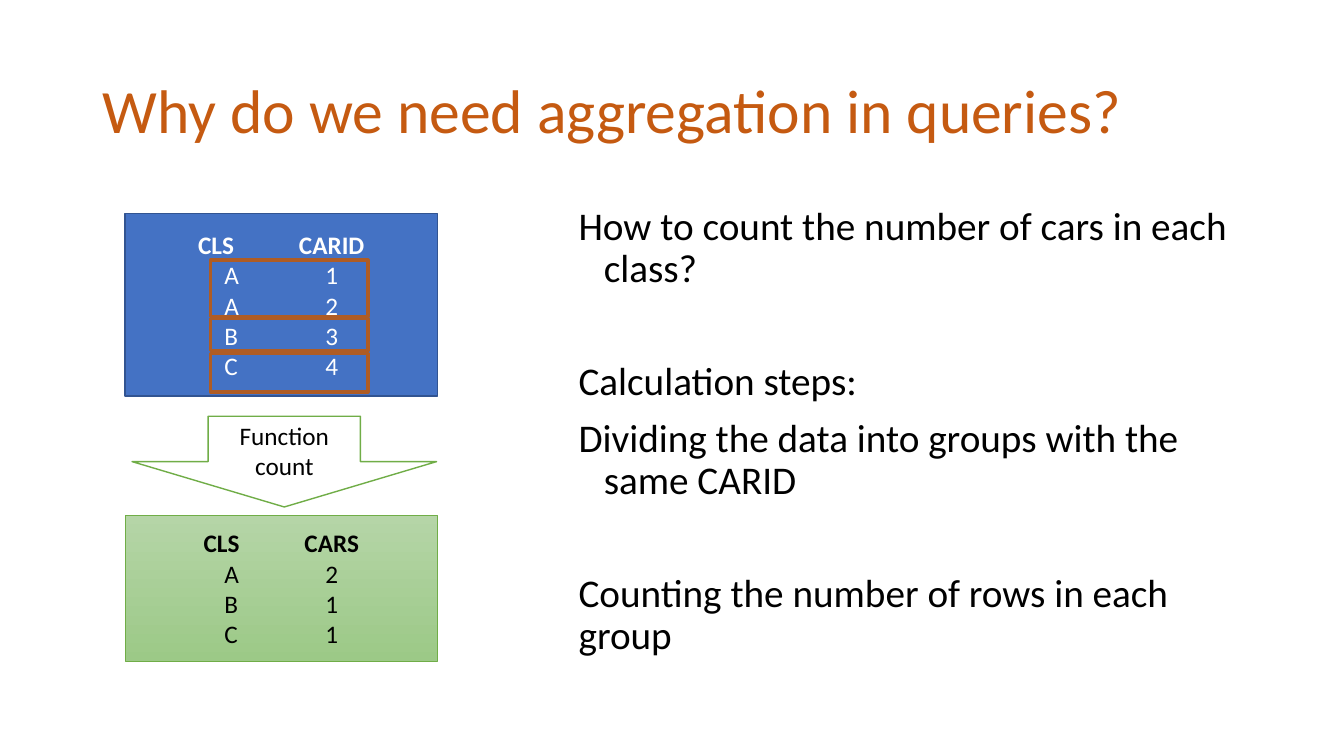
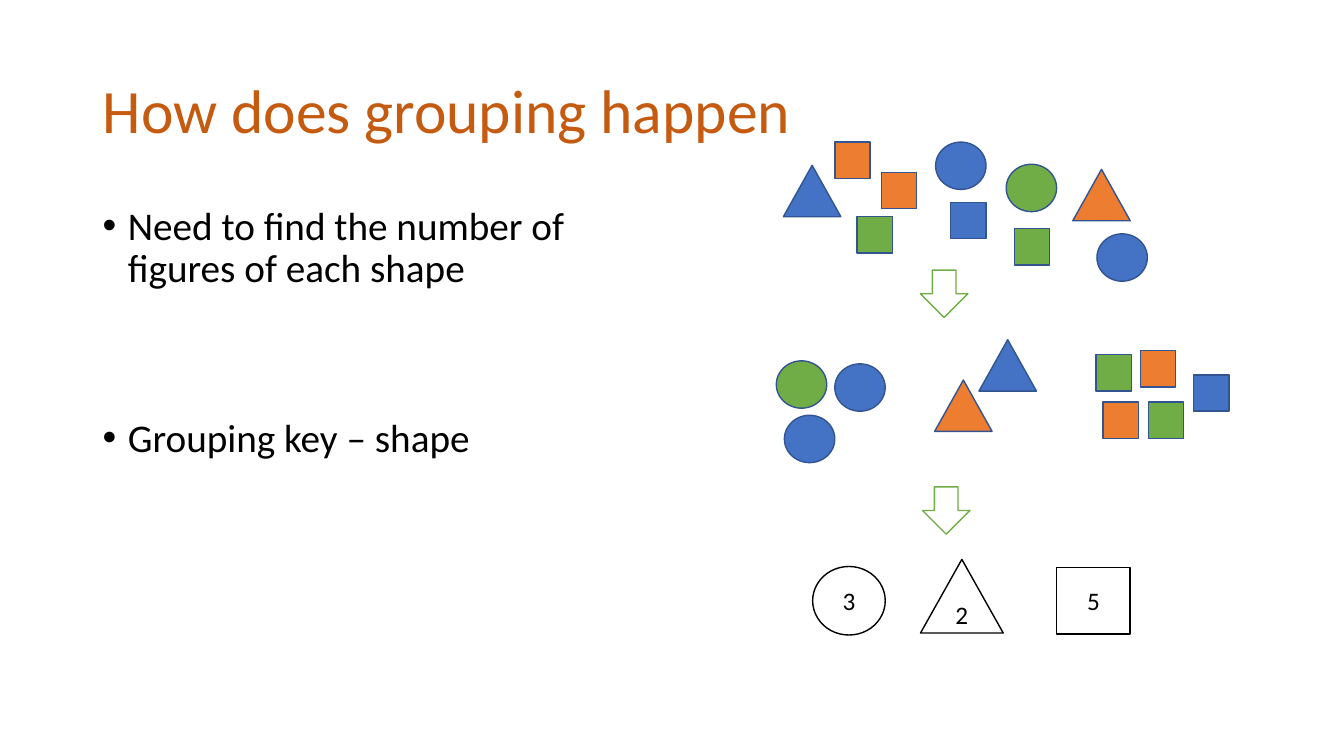
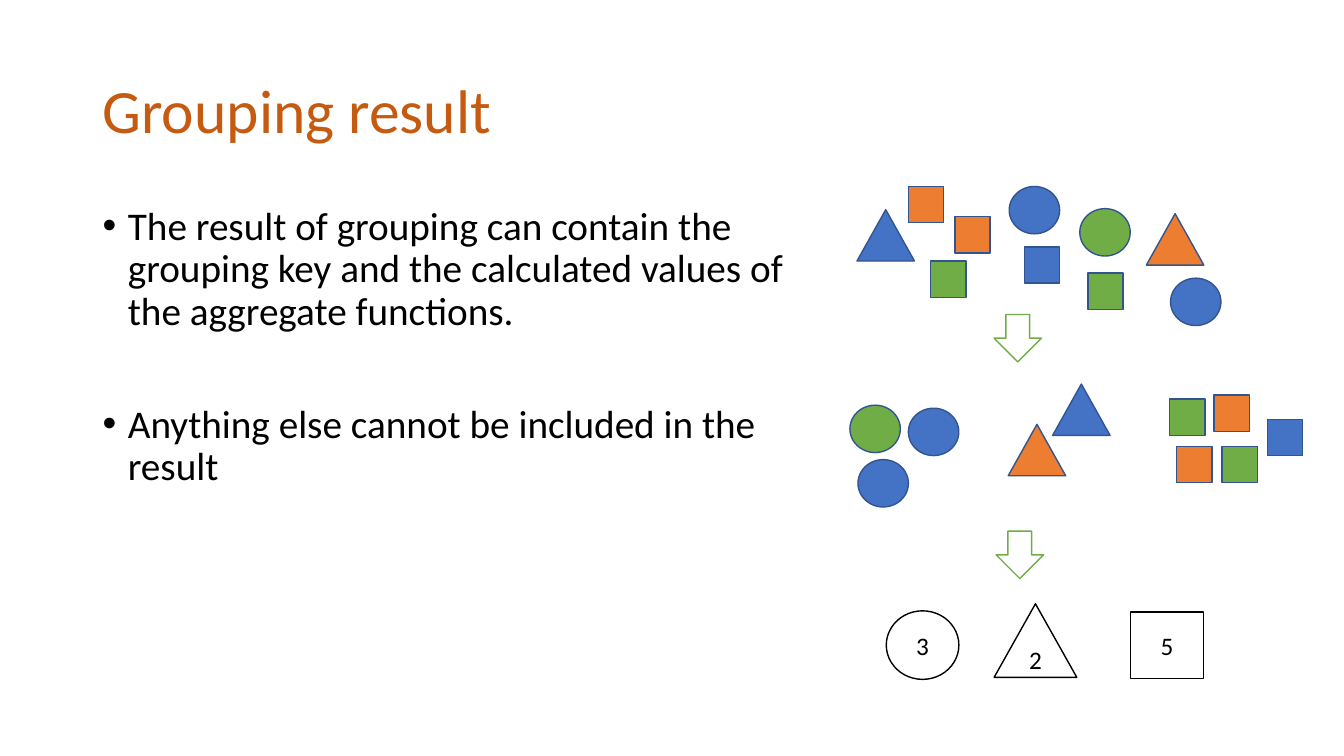
from dataclasses import dataclass

from lxml import etree
from pptx import Presentation
from pptx import util as u
from pptx.dml.color import RGBColor
from pptx.enum import shapes, text
from pptx.oxml.ns import qn


@dataclass(frozen=True)
class Theme:
    font: str = "Calibri"
    title: str = "C55A11"
    ink: str = "000000"
    paper: str = "FFFFFF"
    blue: str = "4472C4"
    orange: str = "ED7D31"
    green: str = "70AD47"
    outline: str = "325491"
    group: str = "AF5C24"
    pale_top: str = "B5D5A7"
    pale_bottom: str = "9CC987"
    title_size: float = 44
    body_size: float = 28
    label_size: float = 18
    spacing: float = 10
    blank_line: float = 40.5


T = Theme()
KINDS = shapes.MSO_SHAPE
RECT, ELLIPSE = KINDS.RECTANGLE, KINDS.OVAL
TRIANGLE, ARROW = KINDS.ISOSCELES_TRIANGLE, KINDS.DOWN_ARROW
FIGURE_SIZES = {RECT: (0.35, 0.36), ELLIPSE: (0.5, 0.47), TRIANGLE: (0.57, 0.51)}

MIXED_FIGURES = [
    (RECT, T.blue, 9.43, 2.01),
    (RECT, T.orange, 8.74, 1.71),
    (RECT, T.green, 10.06, 2.27),
    (RECT, T.green, 8.5, 2.15),
    (RECT, T.orange, 8.28, 1.41),
    (ELLIPSE, T.blue, 10.88, 2.32),
    (ELLIPSE, T.blue, 9.28, 1.41),
    (ELLIPSE, T.green, 9.98, 1.63),
    (TRIANGLE, T.orange, 10.64, 1.68),
    (TRIANGLE, T.blue, 7.77, 1.64),
]
GROUPED_FIGURES = [
    (ELLIPSE, T.green, 7.7, 3.58),
    (ELLIPSE, T.blue, 8.28, 3.61),
    (ELLIPSE, T.blue, 7.78, 4.12),
    (TRIANGLE, T.blue, 9.71, 3.37),
    (TRIANGLE, T.orange, 9.27, 3.77),
    (RECT, T.green, 10.87, 3.52),
    (RECT, T.green, 11.39, 3.99),
    (RECT, T.orange, 10.94, 3.99),
    (RECT, T.orange, 11.31, 3.48),
    (RECT, T.blue, 11.84, 3.72),
]
COUNTS = [
    (ELLIPSE, (8.06, 5.62, 0.72, 0.68), "3"),
    (TRIANGLE, (9.13, 5.55, 0.82, 0.73), "2"),
    (RECT, (10.48, 5.63, 0.73, 0.66), "5"),
]


def rgb(color):
    return RGBColor.from_string(color)


def add_run(p, content, size, color, bold=False):
    r = p.add_run()
    r.text = content
    r.font.name = T.font
    r.font.size = u.Pt(size)
    r.font.bold = bold
    r.font.color.rgb = rgb(color)


def next_paragraph(tf, index):
    return tf.add_paragraph() if index else tf.paragraphs[0]


def add_text_box(slide, box, anchor):
    tf = slide.shapes.add_textbox(*map(u.Inches, box)).text_frame
    tf.word_wrap = True
    tf.vertical_anchor = anchor
    return tf


def add_slide(prs, title):
    slide = prs.slides.add_slide(prs.slide_layouts[6])
    tf = add_text_box(slide, (0.92, 0.4, 11.5, 1.45), text.MSO_ANCHOR.MIDDLE)
    p = tf.paragraphs[0]
    p.line_spacing = 0.9
    add_run(p, title, T.title_size, T.title)
    return slide


def add_body(slide, left, width, paragraphs, bullets=True):
    tf = add_text_box(slide, (left, 2, width, 4.76), text.MSO_ANCHOR.TOP)
    for i, (content, blanks_before, hanging) in enumerate(paragraphs):
        p = next_paragraph(tf, i)
        p.line_spacing = 0.9
        p.space_before = u.Pt(T.spacing + blanks_before * T.blank_line)
        pPr = p._p.get_or_add_pPr()
        if hanging:
            pPr.set("marL", str(u.Inches(0.25)))
            pPr.set("indent", str(u.Inches(-0.25)))
        if bullets:
            etree.SubElement(pPr, qn("a:buFont")).set("typeface", "Arial")
            etree.SubElement(pPr, qn("a:buChar")).set("char", "•")
        add_run(p, content, T.body_size, T.ink)


def add_figure(slide, kind, box, fill, line, weight=1):
    sp = slide.shapes.add_shape(kind, *map(u.Inches, box))
    sp.shadow.inherit = False
    if fill:
        sp.fill.solid()
        sp.fill.fore_color.rgb = rgb(fill)
    else:
        sp.fill.background()
    sp.line.color.rgb = rgb(line)
    sp.line.width = u.Pt(weight)
    return sp


def add_label(sp, lines, color=T.ink, header=False):
    tf = sp.text_frame
    tf.word_wrap = True
    tf.vertical_anchor = text.MSO_ANCHOR.MIDDLE
    for i, line in enumerate(lines):
        p = next_paragraph(tf, i)
        p.alignment = text.PP_ALIGN.CENTER
        if "\t" in line:
            tabs = etree.SubElement(p._p.get_or_add_pPr(), qn("a:tabLst"))
            etree.SubElement(tabs, qn("a:tab"), pos=str(u.Inches(1)), algn="l")
        add_run(p, line, T.label_size, color, header and i == 0)


def shade(sp, top, bottom):
    sp.fill.gradient()
    sp.fill.gradient_angle = 270
    for stop, color in zip(sp.fill.gradient_stops, (top, bottom)):
        stop.color.rgb = rgb(color)


def add_count_example(slide):
    cars = add_figure(slide, RECT, (1.24, 2.12, 3.1, 1.81), T.blue, T.outline)
    add_label(cars, ["CLS\tCARID", "A\t1", "A\t2", "B\t3", "C\t4"], T.paper, True)
    totals = add_figure(slide, RECT, (1.24, 5.11, 3.1, 1.45), T.pale_top, T.green, 0.5)
    shade(totals, T.pale_top, T.pale_bottom)
    add_label(totals, ["CLS\tCARS", "A\t2", "B\t1", "C\t1"], header=True)
    arrow = add_figure(slide, ARROW, (1.31, 4.13, 3.02, 0.9), T.paper, T.green)
    add_label(arrow, ["Function count"])
    for top, height in [(2.58, 0.56), (3.16, 0.32), (3.51, 0.38)]:
        add_figure(slide, RECT, (2.09, top, 1.56, height), None, T.group, 2.25)


def add_grouping_diagram(slide, dx=0, dy=0):
    for kind, color, x, y in MIXED_FIGURES + GROUPED_FIGURES:
        box = (x + dx, y + dy, *FIGURE_SIZES[kind])
        add_figure(slide, kind, box, color, T.outline)
    for x, y in [(9.13, 2.68), (9.15, 4.83)]:
        add_figure(slide, ARROW, (x + dx, y + dy, 0.47, 0.47), T.paper, T.green)
    for kind, (x, y, w, h), count in COUNTS:
        sp = add_figure(slide, kind, (x + dx, y + dy, w, h), T.paper, T.ink)
        add_label(sp, [count])


def main():
    prs = Presentation()
    prs.slide_width, prs.slide_height = u.Inches(13.33), u.Inches(7.5)

    slide = add_slide(prs, "Why do we need aggregation in queries?")
    add_body(slide, 5.64, 6.78, [
        ("How to count the number of cars in each class?", 0, True),
        ("Calculation steps:", 1, True),
        ("Dividing the data into groups with the same CARID", 0, True),
        ("Counting the number of rows in each group", 1, False),
    ], bullets=False)
    add_count_example(slide)

    slide = add_slide(prs, "How does grouping happen")
    add_body(slide, 0.92, 5.38, [
        ("Need to find the number of figures of each shape", 0, True),
        ("Grouping key – shape", 2, True),
    ])
    add_grouping_diagram(slide)

    slide = add_slide(prs, "Grouping result")
    add_body(slide, 0.92, 7.18, [
        ("The result of grouping can contain the grouping key and the "
         "calculated values of the aggregate functions.", 0, True),
        ("Anything else cannot be included in the result", 1, True),
    ])
    add_grouping_diagram(slide, 0.73, 0.44)

    prs.save("out.pptx")


if __name__ == "__main__":
    main()
